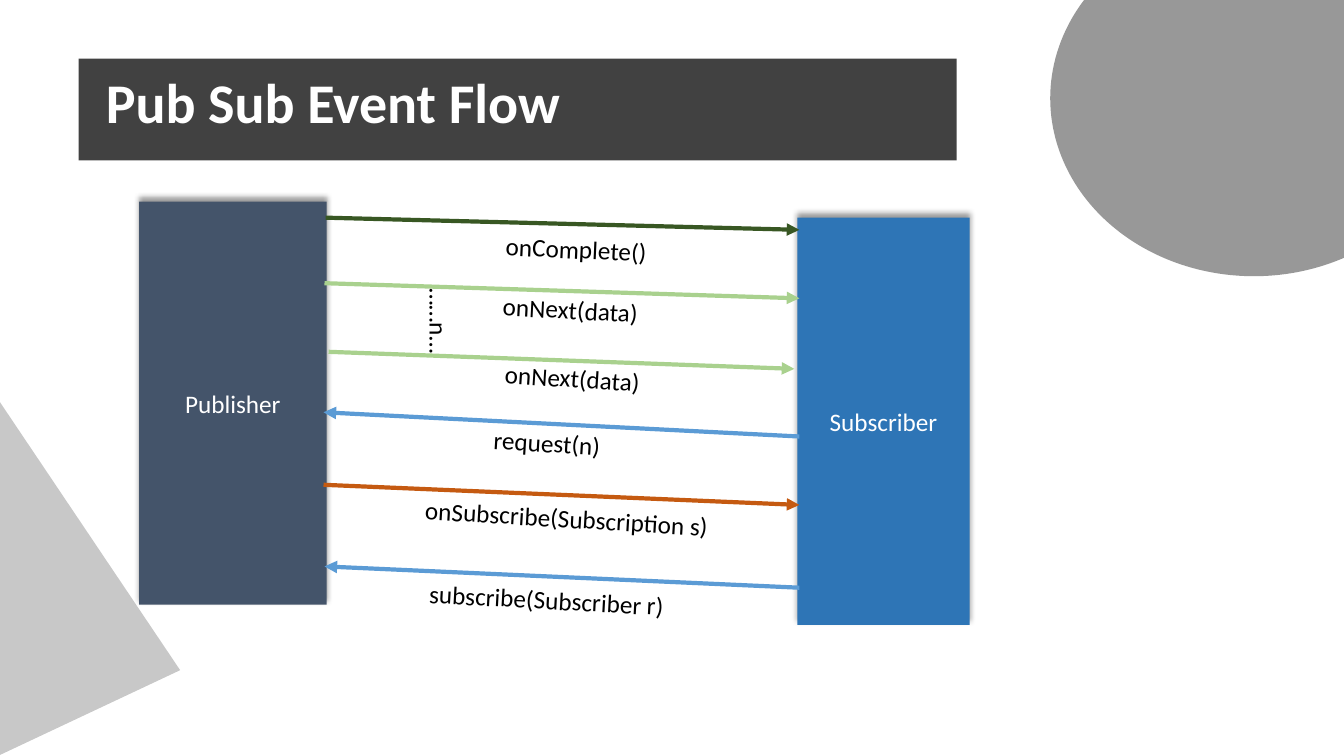
from lxml import etree
from pptx import Presentation
from pptx.dml.color import RGBColor
from pptx.enum import shapes as kinds, text as modes
from pptx.oxml import ns
from pptx.util import Pt

FONT = "Calibri"
HUES = {
    "bar": "121212", "deco": "262626", "pub": "44546A", "sub": "2E75B6",
    "ask": "5B9BD5", "start": "C55A11", "next": "A9D18E", "done": "385723",
    "white": "FFFFFF", "black": "000000",
}
TITLE = "Pub Sub Event Flow"
ACTORS = [  # name, colour, left, top, width, height
    ("Publisher", "pub", 99.4, 144, 133.9, 288),
    ("Subscriber", "sub", 569.5, 155.5, 123.1, 290.9),
]
CALLS = [  # label, colour, start, end, label left, top, width, turn
    ("subscribe(Subscriber r)", "ask", (571, 419.8), (231.8, 404.6),
     299.5, 414, 183.6, 3.2),
    ("onSubscribe(Subscription s)", "start", (231.1, 346.3), (571, 360.7),
     296.6, 355.7, 218.9, 3.4),
    ("request(n)", "ask", (571, 311.8), (231.1, 294.5),
     345.6, 301.7, 91.4, 3.5),
    ("onNext(data)", "next", (234.7, 251.3), (567.4, 263.5),
     353.5, 255.6, 114.5, 3.7),
    ("onNext(data)", "next", (231.8, 202.3), (571, 213.1),
     352.1, 206.6, 112.3, 3),
    ("onComplete()", "done", (232.6, 155.5), (571, 164.2),
     354.2, 163.4, 116.6, 2.6),
]
REPEAT = ("……n…", 283, 215.3, 61.9, 90)
LABEL_H = 28.8


def rgb(hue):
    """Return the named colour."""
    return RGBColor.from_string(HUES[hue])


def add_xml(parent, tag, **attrs):
    """Append a drawing element and return it."""
    return etree.SubElement(parent, ns.qn(tag), attrs)


def write(shape, words, size=18, hue="black", bold=False, align=None,
          anchor=None, wrap=True, fit=modes.MSO_AUTO_SIZE.NONE, space=None):
    """Put formatted text into a shape."""
    frame = shape.text_frame
    frame.word_wrap, frame.auto_size = wrap, fit
    if anchor is not None:
        frame.vertical_anchor = anchor
    para = frame.paragraphs[0]
    para.alignment, para.line_spacing = align, space
    run = para.add_run()
    run.text = words
    font = run.font
    font.name, font.size, font.bold = FONT, Pt(size), bold
    font.color.rgb = rgb(hue)


def draw(slide, kind, box, hue, alpha=None, turn=0):
    """Add a plain filled shape, partly clear if alpha is given."""
    shape = slide.shapes.add_shape(kind, *map(Pt, box))
    shape.rotation = turn
    shape.shadow.inherit = False
    shape.fill.solid()
    shape.fill.fore_color.rgb = rgb(hue)
    shape.line.fill.background()
    if alpha:
        tint = shape.element.spPr.find(".//" + ns.qn("a:srgbClr"))
        add_xml(tint, "a:alpha", val=str(alpha * 1000))
    return shape


def cast(shape):
    """Give a shape a soft shadow above its top edge."""
    effects = shape.element.spPr.find(ns.qn("a:effectLst"))
    shade = add_xml(effects, "a:outerShdw", blurRad=str(Pt(4)),
                    dist=str(Pt(3)), dir=str(270 * 60000),
                    algn="b", rotWithShape="0")
    tint = add_xml(shade, "a:srgbClr", val=HUES["black"])
    add_xml(tint, "a:alpha", val="40000")


def arrow(slide, start, end, hue):
    """Add an arrow that points at end."""
    line = slide.shapes.add_connector(
        kinds.MSO_CONNECTOR.STRAIGHT, *map(Pt, start + end))
    line.line.width = Pt(3)
    line.line.color.rgb = rgb(hue)
    add_xml(line.line._get_or_add_ln(), "a:tailEnd", type="triangle")
    add_xml(line.element.spPr, "a:effectLst")


def label(slide, words, left, top, width, turn):
    """Add a turned one-line label."""
    box = slide.shapes.add_textbox(*map(Pt, (left, top, width, LABEL_H)))
    box.rotation = turn
    write(box, words, wrap=False, fit=modes.MSO_AUTO_SIZE.SHAPE_TO_FIT_TEXT)


def build():
    """Build and save the slide."""
    deck = Presentation()
    deck.slide_width, deck.slide_height = Pt(960), Pt(540)
    slide = deck.slides.add_slide(deck.slide_layouts[0])
    sub = slide.placeholders[1].element
    sub.getparent().remove(sub)
    form = kinds.MSO_SHAPE

    title = slide.shapes.title
    title.left, title.top, title.width, title.height = map(
        Pt, (68.4, 47.5, 545.8, 53.3))
    write(title, TITLE, size=40, hue="white", bold=True, space=0.9,
          align=modes.PP_ALIGN.LEFT, anchor=modes.MSO_ANCHOR.BOTTOM)
    bar = draw(slide, form.RECTANGLE, (56.2, 41.8, 627.1, 72.7), "bar", 80)
    disc = draw(slide, form.OVAL, (750.2, -56.9, 290.9, 254.2), "deco", 47)
    for back in (bar, disc):
        title.element.addprevious(back.element)
    draw(slide, form.ISOSCELES_TRIANGLE, (-342, -348.5, 285.8, 932.4),
         "deco", 25, turn=334.8)

    for name, hue, *box in ACTORS:
        actor = draw(slide, form.RECTANGLE, box, hue)
        cast(actor)
        write(actor, name, hue="white", align=modes.PP_ALIGN.CENTER,
              anchor=modes.MSO_ANCHOR.MIDDLE)
    for words, hue, start, end, *place in CALLS:
        arrow(slide, start, end, hue)
        label(slide, words, *place)
    label(slide, *REPEAT)
    deck.save("out.pptx")


build()
